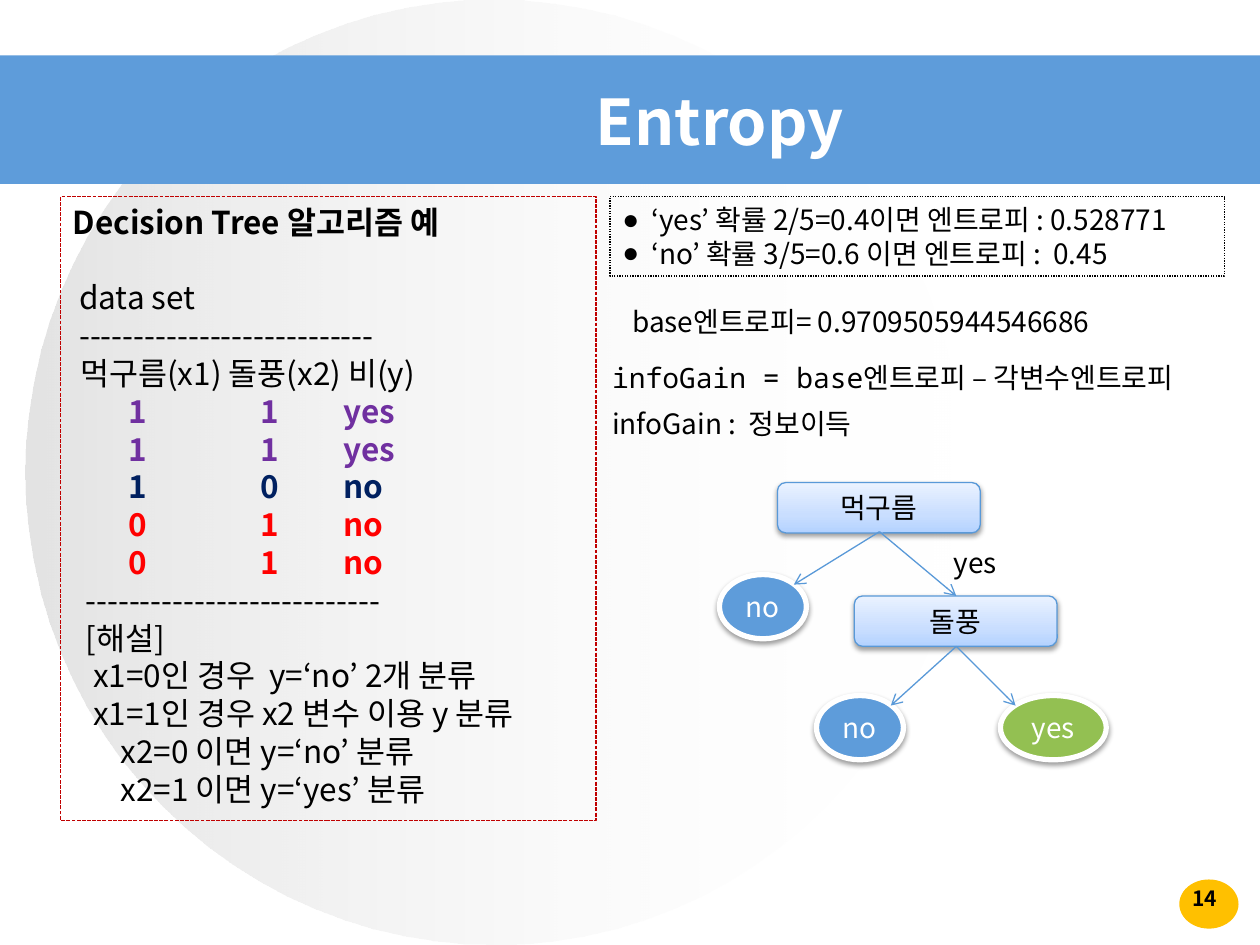
from dataclasses import dataclass

from lxml.etree import SubElement
from pptx import Presentation
from pptx.dml.color import RGBColor
from pptx.enum.dml import MSO_LINE
from pptx.enum.shapes import MSO_CONNECTOR, MSO_SHAPE
from pptx.enum.text import MSO_ANCHOR, MSO_AUTO_SIZE, PP_ALIGN
from pptx.oxml.ns import qn
from pptx.util import Emu, Inches, Pt

FONT = "Noto Sans CJK KR"
MONO = "Noto Sans Mono"
LINE_HEIGHT = 1.2

WHITE = RGBColor(0xFF, 0xFF, 0xFF)
BLACK = RGBColor(0, 0, 0)
SILVER = RGBColor(0xC0, 0xC0, 0xC0)
BLUE = RGBColor(0x5E, 0x9C, 0xDA)
LINE_BLUE = RGBColor(0x59, 0x99, 0xD8)
GREEN = RGBColor(0x93, 0xC0, 0x52)
AMBER = RGBColor(0xFF, 0xC0, 0)
DARK_RED = RGBColor(0xC0, 0, 0)
PURPLE = RGBColor(0x70, 0x30, 0xA0)
NAVY = RGBColor(0, 0x20, 0x60)
RED = RGBColor(0xFF, 0, 0)
NODE_STOPS = [(0, RGBColor(0xB3, 0xD2, 0xFF), 100),
              (35, RGBColor(0xC9, 0xDE, 0xFF), 100),
              (100, RGBColor(0xEA, 0xF2, 0xFF), 100)]


@dataclass
class TextLine:
    text: str
    indent: float = 0
    color: RGBColor = BLACK
    bold: bool = False
    space_before: float = 0
    tabs: tuple = ()


@dataclass
class Node:
    text: str
    left: float
    top: float
    width: float
    height: float
    fill: RGBColor | None = None  # None makes a gradient decision box


@dataclass
class Label:
    text: str
    left: float
    top: float
    width: float
    wrap: bool = True
    font: str = FONT


RECORD_TABS = (1.05, 1.71)
EXAMPLE_LINES = [
    TextLine("Decision Tree 알고리즘 예", bold=True),
    TextLine("data set", 0.05, space_before=18 * LINE_HEIGHT),
    TextLine("---------------------------", 0.05),
    TextLine("먹구름(x1) 돌풍(x2) 비(y)", 0.06),
    *[TextLine(f"{x1}\t{x2}\t{y}", 0.44, color, True, tabs=RECORD_TABS)
      for x1, x2, y, color in [(1, 1, "yes", PURPLE), (1, 1, "yes", PURPLE),
                               (1, 0, "no", NAVY), (0, 1, "no", RED), (0, 1, "no", RED)]],
    TextLine("---------------------------", 0.1),
    TextLine("[해설]", 0.1),
    TextLine("x1=0인 경우  y=‘no’ 2개 분류", 0.16),
    TextLine("x1=1인 경우 x2 변수 이용 y 분류", 0.16),
    TextLine("x2=0 이면 y=‘no’ 분류", 0.38),
    TextLine("x2=1 이면 y=‘yes’ 분류", 0.38),
]
ENTROPY_LINES = ["‘yes’ 확률 2/5=0.4이면 엔트로피 : 0.528771",
                 "‘no’ 확률 3/5=0.6 이면 엔트로피 :  0.45"]
NODES = [
    Node("먹구름", 6.17, 3.83, 1.61, 0.4),
    Node("no", 5.71, 4.56, 0.69, 0.51, BLUE),
    Node("돌풍", 6.78, 4.73, 1.61, 0.4),
    Node("no", 6.48, 5.52, 0.69, 0.51, BLUE),
    Node("yes", 7.94, 5.52, 0.84, 0.51, GREEN),
]
ARROWS = [((6.98, 4.22), (6.3, 4.64)), ((6.98, 4.22), (7.59, 4.73)),
          ((7.59, 5.13), (7.07, 5.6)), ((7.59, 5.13), (8.06, 5.6))]
LABELS = [
    Label("yes", 7.47, 4.28, 0.77),
    Label("base엔트로피= 0.9709505944546686", 4.92, 2.37, 4.05, wrap=False),
    Label("infoGain = base엔트로피 – 각변수엔트로피", 4.76, 2.81, 5.07, font=MONO),
    Label("infoGain :  정보이득", 4.76, 3.18, 2.24, wrap=False),
]


def format_paragraph(paragraph, size, color=BLACK, bold=False, align=PP_ALIGN.LEFT, font=FONT):
    paragraph.alignment = align
    paragraph.line_spacing = Pt(size * LINE_HEIGHT)
    paragraph.font.name = font
    paragraph.font.size = Pt(size)
    paragraph.font.bold = bold
    paragraph.font.color.rgb = color
    properties = paragraph.font._element
    SubElement(properties, qn("a:ea")).set("typeface", FONT)


def set_gradient(shape, stops, angle):
    shape.fill.gradient()
    shape.fill.gradient_angle = angle
    stop_list = shape._element.spPr.find(qn("a:gradFill")).find(qn("a:gsLst"))
    for old_stop in list(stop_list):
        stop_list.remove(old_stop)
    for position, color, opacity in stops:
        stop = SubElement(stop_list, qn("a:gs"), pos=str(position * 1000))
        color_element = SubElement(stop, qn("a:srgbClr"), val=str(color))
        SubElement(color_element, qn("a:alpha"), val=str(opacity * 1000))


def add_plain_shape(slide, kind, left, top, width, height, fill=None):
    shape = slide.shapes.add_shape(kind, Inches(left), Inches(top), Inches(width), Inches(height))
    shape.shadow.inherit = False
    shape.line.fill.background()
    if fill is None:
        shape.fill.background()
    else:
        shape.fill.solid()
        shape.fill.fore_color.rgb = fill
    return shape


def set_outline(shape, color, width=0.75, dash=None):
    shape.line.color.rgb = color
    shape.line.width = Pt(width)
    shape.line.dash_style = dash


def add_label(slide, label: Label, height=0.37, size=16, bold=False, align=PP_ALIGN.LEFT):
    box = slide.shapes.add_textbox(Inches(label.left), Inches(label.top),
                                   Inches(label.width), Inches(height))
    box.text_frame.word_wrap = label.wrap
    box.text_frame.text = label.text
    format_paragraph(box.text_frame.paragraphs[0], size, bold=bold, align=align, font=label.font)


def add_example(slide):
    box = add_plain_shape(slide, MSO_SHAPE.RECTANGLE, 0.48, 1.56, 4.25, 4.95)
    set_outline(box, DARK_RED, dash=MSO_LINE.SQUARE_DOT)
    frame = box.text_frame
    frame.vertical_anchor = MSO_ANCHOR.TOP
    for index, line in enumerate(EXAMPLE_LINES):
        paragraph = frame.add_paragraph() if index else frame.paragraphs[0]
        paragraph.text = line.text
        properties = paragraph._p.get_or_add_pPr()
        properties.set("marL", str(Inches(line.indent)))
        if line.tabs:
            tab_list = SubElement(properties, qn("a:tabLst"))
            for tab in line.tabs:
                SubElement(tab_list, qn("a:tab"), pos=str(Inches(tab)), algn="l")
        if line.space_before:
            paragraph.space_before = Pt(line.space_before)
        format_paragraph(paragraph, 18, line.color, line.bold)


def fill_entropy_list(body):
    body.left, body.top, body.width, body.height = map(Inches, (4.84, 1.56, 4.88, 0.63))
    set_outline(body, BLACK, dash=MSO_LINE.ROUND_DOT)
    body.text_frame.auto_size = MSO_AUTO_SIZE.NONE
    body.text_frame.text = "\n".join(ENTROPY_LINES)
    for paragraph in body.text_frame.paragraphs:
        properties = paragraph._p.get_or_add_pPr()
        properties.set("marL", str(Inches(0.23)))
        properties.set("indent", str(-Inches(0.23)))
        SubElement(properties, qn("a:buChar"), char="●")
        paragraph.space_before = Pt(0)
        format_paragraph(paragraph, 16)


def add_node(slide, node: Node):
    kind = MSO_SHAPE.OVAL if node.fill else MSO_SHAPE.ROUNDED_RECTANGLE
    shape = add_plain_shape(slide, kind, node.left, node.top, node.width, node.height, node.fill)
    if node.fill:
        set_outline(shape, WHITE, 3)
    else:
        set_gradient(shape, NODE_STOPS, 90)
        set_outline(shape, LINE_BLUE)
    effects = shape._element.spPr.find(qn("a:effectLst"))
    shadow = SubElement(effects, qn("a:outerShdw"), blurRad=str(Pt(3.1)), dist=str(Pt(1.6)),
                        dir="5400000", rotWithShape="0")
    shadow_color = SubElement(shadow, qn("a:srgbClr"), val=str(BLACK))
    SubElement(shadow_color, qn("a:alpha"), val="38000")
    frame = shape.text_frame
    frame.margin_left = frame.margin_right = Emu(0)
    frame.vertical_anchor = MSO_ANCHOR.MIDDLE
    frame.text = node.text
    format_paragraph(frame.paragraphs[0], 16, WHITE if node.fill else BLACK, align=PP_ALIGN.CENTER)


def add_arrow(slide, start, end):
    arrow = slide.shapes.add_connector(MSO_CONNECTOR.STRAIGHT, *map(Inches, start + end))
    set_outline(arrow, LINE_BLUE)
    SubElement(arrow.line._get_or_add_ln(), qn("a:tailEnd"), type="arrow")
    SubElement(arrow._element.spPr, qn("a:effectLst"))


def main():
    presentation = Presentation()
    presentation.slide_width, presentation.slide_height = Inches(10), Inches(7.5)
    slide = presentation.slides.add_slide(presentation.slide_layouts[1])
    title, body = slide.shapes.title, slide.placeholders[1]

    # Background circle, title band and page number
    circle = add_plain_shape(slide, MSO_SHAPE.OVAL, 0.2, 0, 7.44, 7.5)
    set_gradient(circle, [(0, SILVER, 44), (100, WHITE, 0)], 0)
    add_plain_shape(slide, MSO_SHAPE.RECTANGLE, 0, 0.44, 10, 1.02, BLUE)
    add_plain_shape(slide, MSO_SHAPE.OVAL, 9.36, 6.98, 0.47, 0.39, AMBER)
    add_label(slide, Label("14", 9.12, 6.98, 0.88), 0.29, 12, True, PP_ALIGN.CENTER)

    # Title and entropy list, raised above the background
    for placeholder in (title, body):
        slide.shapes._spTree.append(placeholder._element)
    title.left, title.top, title.width, title.height = map(Inches, (2.25, 0.58, 6.92, 0.75))
    title.text_frame.text = "Entropy"
    title.text_frame.vertical_anchor = MSO_ANCHOR.MIDDLE
    format_paragraph(title.text_frame.paragraphs[0], 36, WHITE, True, PP_ALIGN.CENTER)
    fill_entropy_list(body)

    # Worked example, decision tree and formulas
    add_example(slide)
    for node in NODES:
        add_node(slide, node)
    for start, end in ARROWS:
        add_arrow(slide, start, end)
    for label in LABELS:
        add_label(slide, label)

    presentation.save("out.pptx")


if __name__ == "__main__":
    main()
